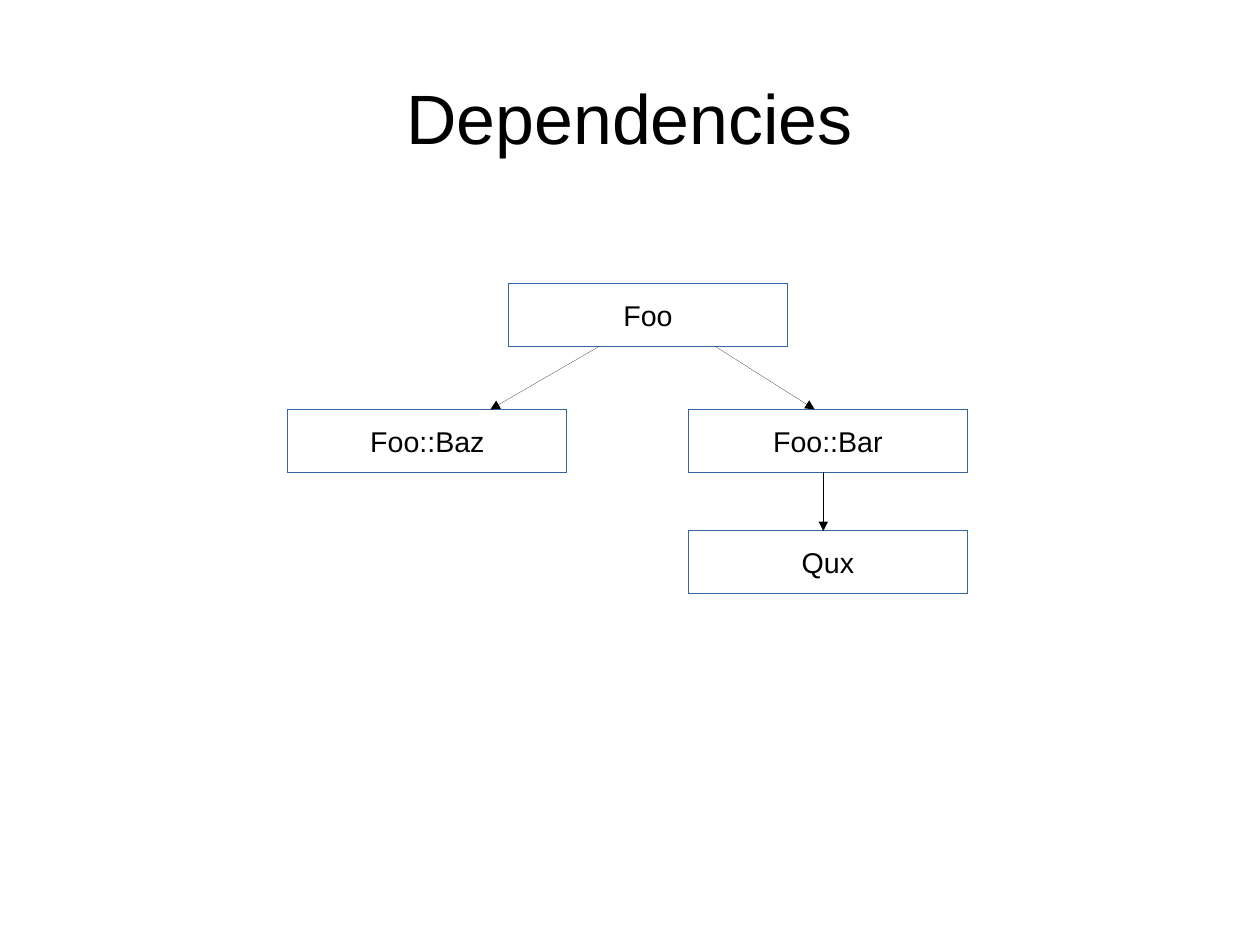
"""Build the Dependencies slide: a title above a small tree of modules."""
from lxml import etree
from pptx import Presentation
from pptx.dml.color import RGBColor
from pptx.enum.shapes import MSO_CONNECTOR, MSO_SHAPE
from pptx.enum.text import MSO_ANCHOR, PP_ALIGN
from pptx.oxml.ns import qn
from pptx.util import Pt

RECT = MSO_SHAPE.RECTANGLE
STRAIGHT = MSO_CONNECTOR.STRAIGHT
MIDDLE = MSO_ANCHOR.MIDDLE
CENTER = PP_ALIGN.CENTER
BLACK = RGBColor(0x00, 0x00, 0x00)
BLUE = RGBColor(0x34, 0x65, 0xA4)

BOX_W, BOX_H = 175.7, 39.7
ROW_1, ROW_2, ROW_3 = 178.6, 257.9, 334.5
LEFT, MID, RIGHT = 181.4, 320.4, 433.7


def set_text(sp, text, size):
    tf = sp.text_frame
    tf.text = text
    tf.vertical_anchor = MIDDLE
    p = tf.paragraphs[0]
    p.alignment = CENTER
    font = p.runs[0].font
    font.name = "Arial"
    font.size = Pt(size)
    font.color.rgb = BLACK
    return tf


def set_hairline(sp, color):
    sp.line.color.rgb = color
    ln = sp.line._get_or_add_ln()
    ln.set("w", "0")
    return ln


prs = Presentation()
prs.slide_width, prs.slide_height = Pt(793.7), Pt(595.3)
s = prs.slides.add_slide(prs.slide_layouts[6])

modules = [
    ("Foo", MID, ROW_1),
    ("Foo::Baz", LEFT, ROW_2),
    ("Foo::Bar", RIGHT, ROW_2),
    ("Qux", RIGHT, ROW_3),
]
for name, x, y in modules:
    sp = s.shapes.add_shape(RECT, Pt(x), Pt(y), Pt(BOX_W), Pt(BOX_H))
    sp.shadow.inherit = False
    sp.fill.background()
    set_hairline(sp, BLUE)
    set_text(sp, name, 18).word_wrap = False

arrows = [
    (377.3, ROW_1 + BOX_H, 308.9, ROW_2),
    (450.7, ROW_1 + BOX_H, 513.2, ROW_2),
    (518.6, ROW_2 + BOX_H, 518.6, ROW_3),
]
for x1, y1, x2, y2 in arrows:
    arrow = s.shapes.add_connector(STRAIGHT, Pt(x1), Pt(y1), Pt(x2), Pt(y2))
    ln = set_hairline(arrow, BLACK)
    etree.SubElement(ln, qn("a:tailEnd"), type="triangle")
    etree.SubElement(ln.getparent(), qn("a:effectLst"))

title = s.shapes.add_textbox(Pt(39.6), Pt(23.8), Pt(714.2), Pt(99.4))
tf = set_text(title, "Dependencies", 44)
tf.word_wrap = True
tf.margin_left = tf.margin_right = tf.margin_top = tf.margin_bottom = Pt(0)

prs.save("out.pptx")
